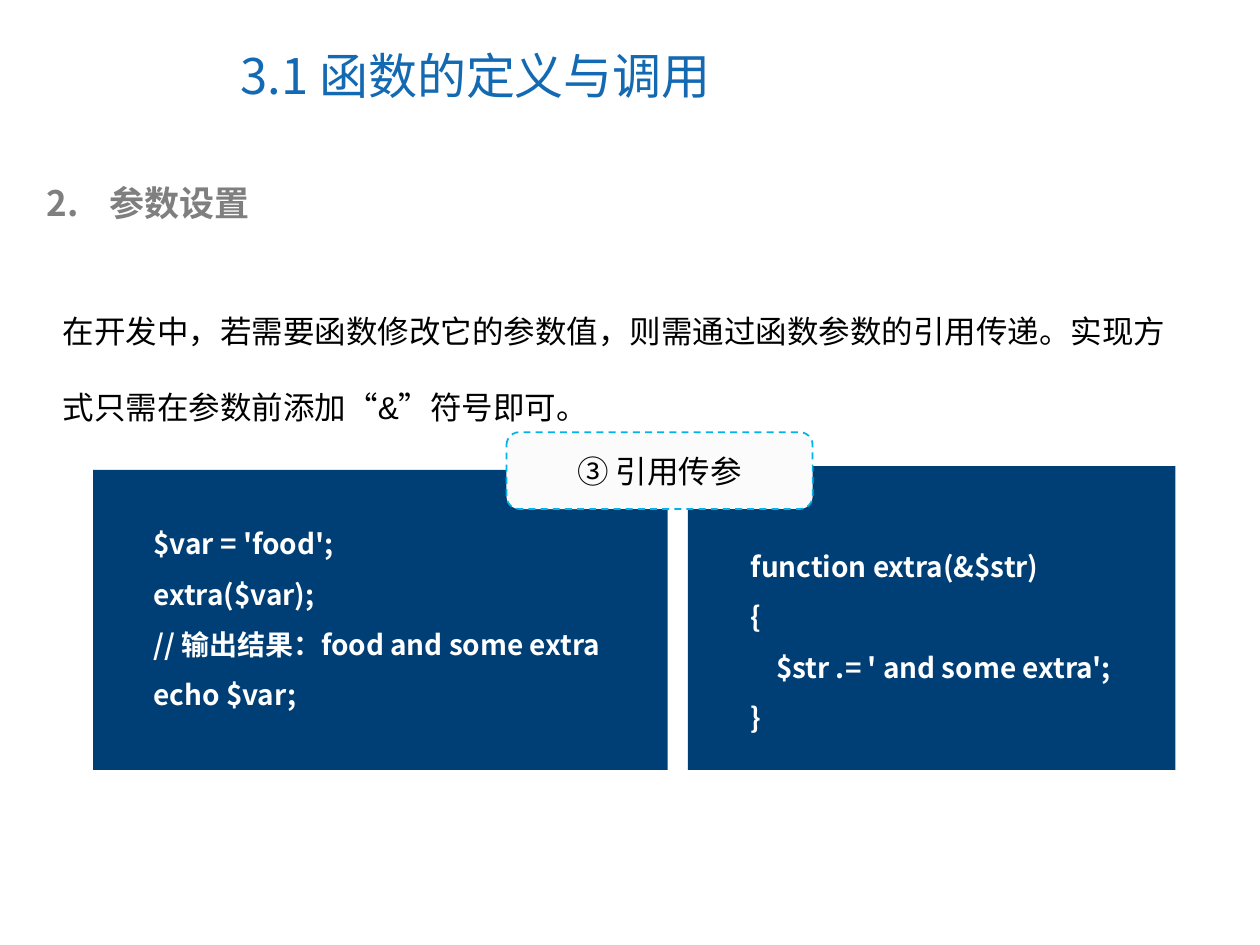
from lxml import etree
from pptx import Presentation
from pptx.dml.color import RGBColor
from pptx.enum.dml import MSO_LINE
from pptx.enum.shapes import MSO_SHAPE
from pptx.enum.text import MSO_ANCHOR, PP_ALIGN
from pptx.oxml.ns import qn
from pptx.util import Inches, Pt

DASH = MSO_LINE.DASH
RECTANGLE = MSO_SHAPE.RECTANGLE
ROUNDED = MSO_SHAPE.ROUNDED_RECTANGLE
MIDDLE = MSO_ANCHOR.MIDDLE
CENTER = PP_ALIGN.CENTER

CJK_FONT = "Noto Sans CJK SC"
COLORS = {
    "title": "1369B2",
    "heading": "7F7F7F",
    "body": "000000",
    "panel": "003F75",
    "code": "FFFFFF",
    "label": "FBFBFB",
    "label_line": "00B4E9",
}

TITLE = "3.1 函数的定义与调用"
HEADING = "参数设置"
HEADING_NUMBER = 2
BODY = "在开发中，若需要函数修改它的参数值，则需通过函数参数的引用传递。实现方式只需在参数前添加“&”符号即可。"
LABEL = "③ 引用传参"
CODE_PANELS = [
    {
        "panel": (5.46, 3.7, 3.87, 2.41),
        "text": (5.86, 4.18, 3.28, 1.7),
        "lines": ["function extra(&$str)", "{", "    $str .= ' and some extra';", "}"],
    },
    {
        "panel": (0.74, 3.73, 4.56, 2.38),
        "text": (1.12, 4, 4.18, 1.7),
        "lines": ["$var = 'food';", "extra($var);", "// 输出结果：food and some extra", "echo $var;"],
    },
]


def rgb(name):
    return RGBColor.from_string(COLORS[name])


def write(shape, lines, size, color, font=CJK_FONT, bold=False, spacing=None):
    text_frame = shape.text_frame
    text_frame.word_wrap = True
    text_frame.text = "\n".join(lines)
    for paragraph in text_frame.paragraphs:
        if spacing:
            paragraph.line_spacing = spacing
        for run in paragraph.runs:
            run.font.name = font
            run.font.size = Pt(size)
            run.font.bold = bold
            run.font.color.rgb = rgb(color)
            east_asian = etree.SubElement(run.font._element, qn("a:ea"))
            east_asian.set("typeface", CJK_FONT)


def add_text(slide, box, lines, size, color, **style):
    shape = slide.shapes.add_textbox(*map(Inches, box))
    write(shape, lines, size, color, **style)
    return shape


def add_box(slide, kind, box, fill):
    shape = slide.shapes.add_shape(kind, *map(Inches, box))
    shape.shadow.inherit = False
    shape.fill.solid()
    shape.fill.fore_color.rgb = rgb(fill)
    shape.line.fill.background()
    return shape


def number_paragraph(paragraph, start, color, indent):
    properties = paragraph._p.get_or_add_pPr()
    properties.set("marL", str(Inches(indent)))
    properties.set("indent", str(Inches(-indent)))
    bullet_color = etree.SubElement(properties, qn("a:buClr"))
    etree.SubElement(bullet_color, qn("a:srgbClr")).set("val", COLORS[color])
    number = etree.SubElement(properties, qn("a:buAutoNum"))
    number.set("type", "arabicPeriod")
    number.set("startAt", str(start))


def main():
    presentation = Presentation()
    presentation.slide_width = Inches(10)
    presentation.slide_height = Inches(7.5)
    slide = presentation.slides.add_slide(presentation.slide_layouts[6])

    title = add_text(slide, (1.81, 0.17, 5.16, 0.85), [TITLE], 28, "title")
    title.text_frame.vertical_anchor = MIDDLE

    heading = add_text(slide, (0.27, 1.39, 9.22, 0.44), [HEADING], 20, "heading", bold=True)
    number_paragraph(heading.text_frame.paragraphs[0], HEADING_NUMBER, "heading", 0.5)

    add_text(slide, (0.4, 2.13, 9.19, 1.3), [BODY], 18, "body", font="Arial", spacing=2.0)

    for code in CODE_PANELS:
        add_box(slide, RECTANGLE, code["panel"], "panel")
        add_text(slide, code["text"], code["lines"], 16, "code", bold=True, spacing=1.5)

    label = add_box(slide, ROUNDED, (4.02, 3.43, 2.43, 0.61), "label")
    label.line.color.rgb = rgb("label_line")
    label.line.width = Pt(1)
    label.line.dash_style = DASH
    write(label, [LABEL], 18, "body", font="Arial")
    label.text_frame.vertical_anchor = MIDDLE
    label.text_frame.paragraphs[0].alignment = CENTER

    presentation.save("out.pptx")


if __name__ == "__main__":
    main()
